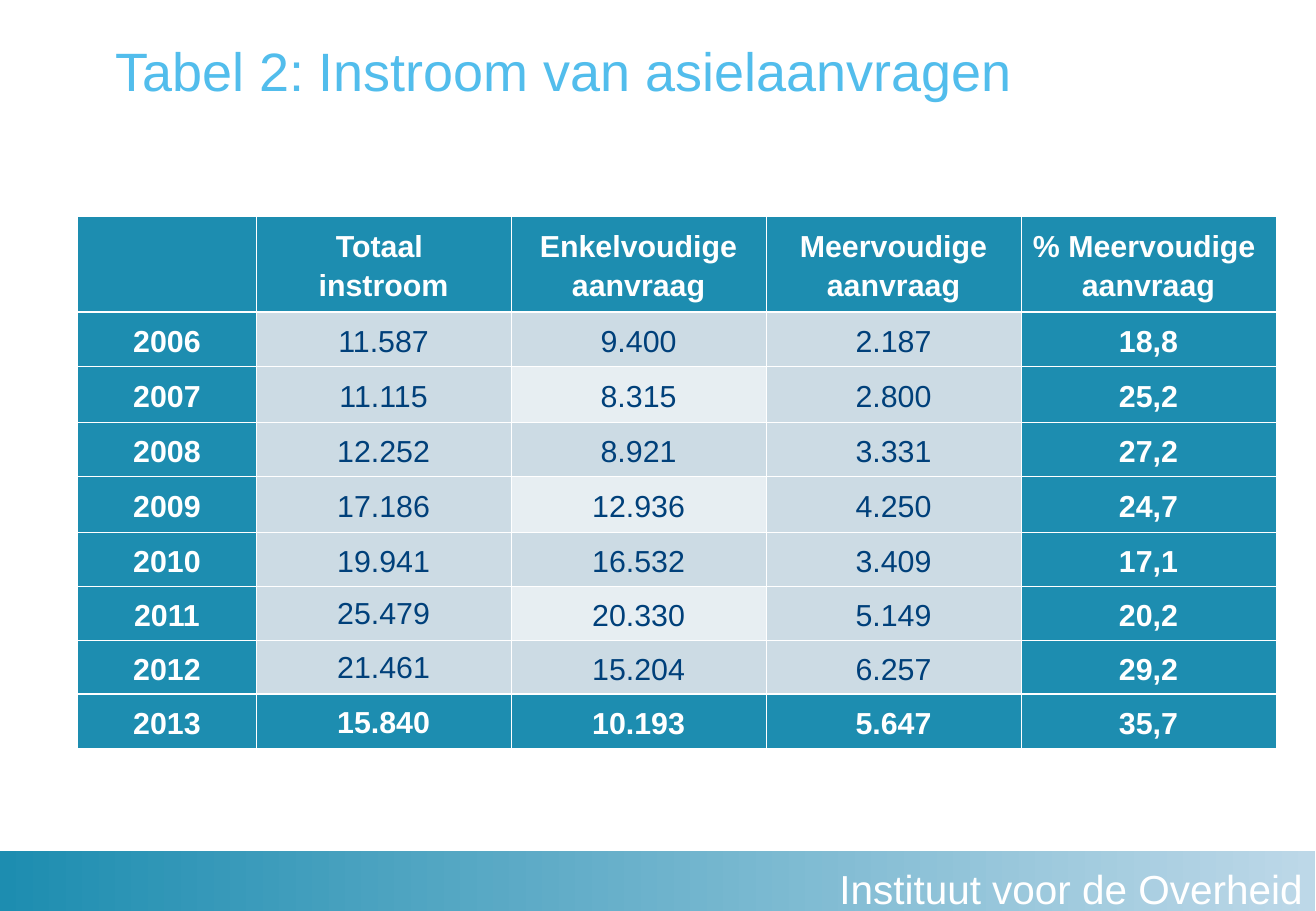
"""Build the slide with the yearly table of asylum applications."""
from lxml.etree import SubElement
from pptx import Presentation
from pptx.dml.color import RGBColor
from pptx.enum.shapes import MSO_SHAPE
from pptx.enum.text import MSO_ANCHOR, PP_ALIGN
from pptx.oxml.ns import qn
from pptx.util import Inches, Pt

TITLE = "Tabel 2: Instroom van asielaanvragen"
FOOTER = "Instituut voor de Overheid"
ROWS = [
    ("", "Totaal \ninstroom", "Enkelvoudige\naanvraag",
     "Meervoudige\naanvraag", "% Meervoudige \naanvraag"),
    ("2006", "11.587", "9.400", "2.187", "18,8"),
    ("2007", "11.115", "8.315", "2.800", "25,2"),
    ("2008", "12.252", "8.921", "3.331", "27,2"),
    ("2009", "17.186", "12.936", "4.250", "24,7"),
    ("2010", "19.941", "16.532", "3.409", "17,1"),
    ("2011", "25.479", "20.330", "5.149", "20,2"),
    ("2012", "21.461", "15.204", "6.257", "29,2"),
    ("2013", "15.840", "10.193", "5.647", "35,7"),
]
WIDTHS = [1.47, 2.1, 2.1, 2.1, 2.1]
HEIGHTS = [0.69, 0.44, 0.46, 0.44, 0.46, 0.44, 0.44, 0.44, 0.44]
THIN, THICK = 0.45, 1.47

WHITE = RGBColor(0xFF, 0xFF, 0xFF)
TEAL = RGBColor(0x1D, 0x8D, 0xB0)
SKY = RGBColor(0x52, 0xBD, 0xEC)
NAVY = RGBColor(0x00, 0x40, 0x7A)
MIST = RGBColor(0xCC, 0xDB, 0xE4)
PALE = RGBColor(0xE7, 0xEE, 0xF2)
ICE = RGBColor(0xBD, 0xD8, 0xE8)


def write(frame, text, size, color, align, space, bold=False):
    par = frame.paragraphs[0]
    par.text = text
    par.alignment = align
    par.line_spacing = space
    font = par.font
    font.size = Pt(size)
    for run in par.runs:
        run.font.name = "Arial"
        run.font.size = Pt(size)
        run.font.bold = bold
        run.font.color.rgb = color


def add_border(cell, side, width):
    props = cell._tc.get_or_add_tcPr()
    line = SubElement(props, qn("a:ln" + side), w=str(Pt(width)))
    fill = SubElement(line, qn("a:solidFill"))
    SubElement(fill, qn("a:srgbClr"), val=str(WHITE))


def fill_cell(cell, text, row, col):
    last = len(ROWS) - 1
    edge = row in (0, last) or col in (0, len(WIDTHS) - 1)
    light = col == 2 and row % 2 == 0
    top = THICK if row in (1, last) else THIN
    base = THICK if row in (0, last - 1) else THIN
    for side, width in (("L", THIN), ("R", THIN), ("T", top), ("B", base)):
        add_border(cell, side, width)
    cell.fill.solid()
    cell.fill.fore_color.rgb = TEAL if edge else PALE if light else MIST
    cell.margin_left = cell.margin_right = Inches(0.08)
    cell.margin_top = cell.margin_bottom = Inches(0.05)
    high = col == 1 and row >= 6
    cell.vertical_anchor = MSO_ANCHOR.TOP if high else MSO_ANCHOR.MIDDLE
    write(cell.text_frame, text, 18, WHITE if edge else NAVY,
          PP_ALIGN.CENTER, 1.15, edge)


def add_footer(slide):
    bar = slide.shapes.add_shape(MSO_SHAPE.RECTANGLE, 0, Inches(7.01),
                                 Inches(10.83), Inches(0.53))
    bar.shadow.inherit = False
    bar.line.fill.background()
    bar.fill.gradient()
    bar.fill.gradient_angle = 0
    for stop, place, color in zip(bar.fill.gradient_stops, (0, 1), (TEAL, ICE)):
        stop.position = place
        stop.color.rgb = color
    bar.text_frame.vertical_anchor = MSO_ANCHOR.MIDDLE
    write(bar.text_frame, FOOTER, 24, WHITE, PP_ALIGN.RIGHT, 1.2)


def add_title(slide):
    box = slide.shapes.add_textbox(Inches(0.85), Inches(0.21),
                                   Inches(9.38), Inches(1.18))
    box.text_frame.word_wrap = True
    write(box.text_frame, TITLE, 32, SKY, PP_ALIGN.LEFT, 1.1)


def add_grid(slide):
    table = slide.shapes.add_table(
        len(ROWS), len(WIDTHS), Inches(0.64), Inches(1.78),
        Inches(sum(WIDTHS)), Inches(sum(HEIGHTS))).table
    table.horz_banding = False
    for column, width in zip(table.columns, WIDTHS):
        column.width = Inches(width)
    for line, height in zip(table.rows, HEIGHTS):
        line.height = Inches(height)
    for row, texts in enumerate(ROWS):
        for col, text in enumerate(texts):
            fill_cell(table.cell(row, col), text, row, col)


def main():
    deck = Presentation()
    deck.slide_width = Inches(10.84)
    deck.slide_height = Inches(7.5)
    slide = deck.slides.add_slide(deck.slide_layouts[6])
    add_footer(slide)
    add_title(slide)
    add_grid(slide)
    deck.save("out.pptx")


if __name__ == "__main__":
    main()
